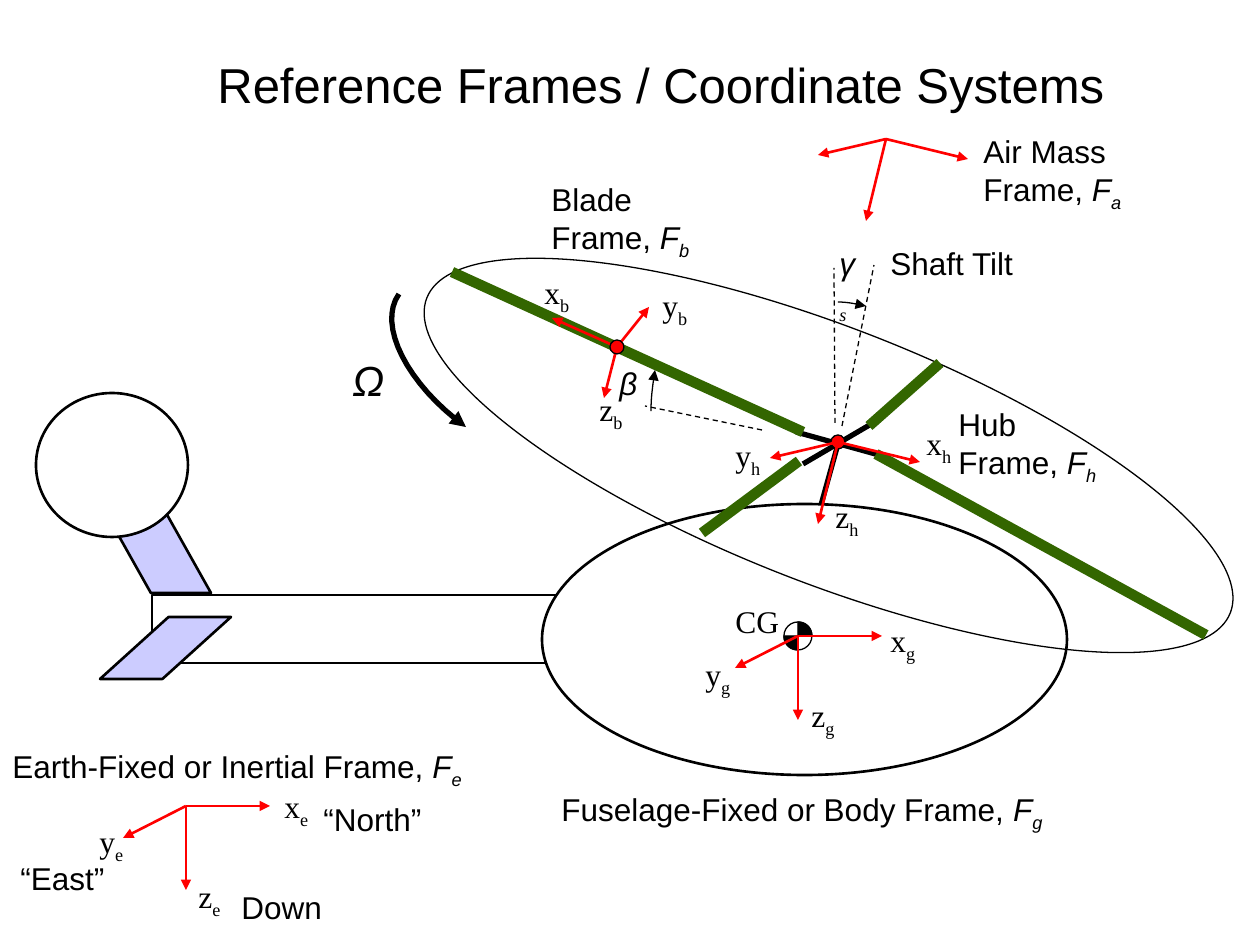
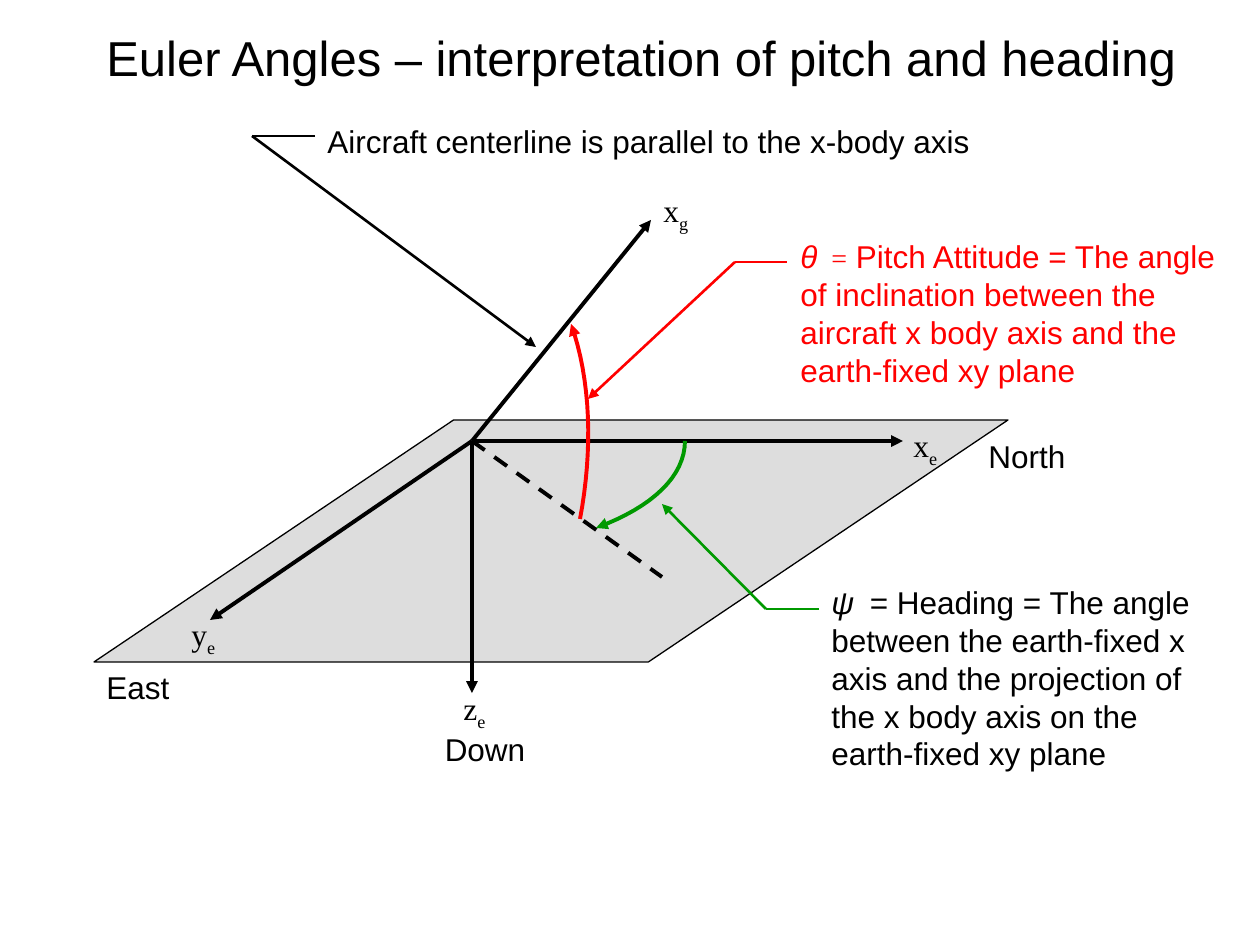
from lxml import etree
from pptx import Presentation
from pptx.dml.color import RGBColor
from pptx.enum.dml import MSO_LINE
from pptx.enum.shapes import MSO_CONNECTOR, MSO_SHAPE
from pptx.enum.text import MSO_AUTO_SIZE, PP_ALIGN
from pptx.oxml.ns import qn
from pptx.util import Pt

SCALE = 914400 / 126
PAGE_WIDTH, PAGE_HEIGHT = 1260, 945

BLACK = RGBColor(0x00, 0x00, 0x00)
WHITE = RGBColor(0xFF, 0xFF, 0xFF)
RED = RGBColor(0xFF, 0x00, 0x00)
GREEN = RGBColor(0x00, 0x99, 0x00)
BLADE_GREEN = RGBColor(0x33, 0x66, 0x00)
TAIL_BLUE = RGBColor(0xCC, 0xCC, 0xFF)
PLANE_GREY = RGBColor(0xDD, 0xDD, 0xDD)

SANS, SERIF = "Arial", "Times New Roman"
ELLIPSE, RECTANGLE = MSO_SHAPE.OVAL, MSO_SHAPE.RECTANGLE
PARALLELOGRAM = MSO_SHAPE.PARALLELOGRAM
STRAIGHT, DASH = MSO_CONNECTOR.STRAIGHT, MSO_LINE.DASH
LEFT, CENTER = PP_ALIGN.LEFT, PP_ALIGN.CENTER

LEVEL_AXES = ((84, 0), (-63, 32), (0, 84))
TILTED_AXES = ((82, 20), (-68, 16), (-20, 82))
BLADE_AXES = ((-65, -29), (32, -40), (-13, 51))
HUB, BLADE = (838, 442), (617, 347)
TEXT_HEIGHT = 50


def emu(px):
    return round(px * SCALE)


def outline(shape, color, width, dash=None, arrow=False):
    line = shape.line
    line.color.rgb = color
    line.width = Pt(width)
    if dash:
        line.dash_style = dash
    if arrow:
        etree.SubElement(shape._element.spPr.find(qn("a:ln")), qn("a:tailEnd"), type="triangle")


def paint(shape, fill):
    shape.shadow.inherit = False
    if fill is None:
        shape.fill.background()
    else:
        shape.fill.solid()
        shape.fill.fore_color.rgb = fill


class Panel:
    """A region whose parts are placed relative to its origin."""

    def __init__(self, shapes, origin):
        self.shapes = shapes
        self.origin = origin

    def point(self, at):
        return tuple(emu(base + offset) for base, offset in zip(self.origin, at))

    def line(self, start, end, color=BLACK, width=1.5, dash=None, arrow=False):
        connector = self.shapes.add_connector(STRAIGHT, *self.point(start), *self.point(end))
        outline(connector, color, width, dash, arrow)
        etree.SubElement(connector._element.spPr, qn("a:effectLst"))

    def shape(self, kind, box, fill=None, width=1.5, slant=None, flip=False, rotation=0):
        left, top, wide, high = box
        shape = self.shapes.add_shape(kind, *self.point((left, top)), emu(wide), emu(high))
        if slant:
            shape.adjustments[0] = slant
        if flip:
            shape._element.spPr.find(qn("a:xfrm")).set("flipH", "1")
        shape.rotation = rotation
        paint(shape, fill)
        outline(shape, BLACK, width)

    def curve(self, controls, color=BLACK, width=0.75, arrow=True, center=None):
        """Draw a cubic curve; a center closes it into a filled sector."""
        steps = 16
        points = []
        for step in range(steps + 1):
            t = step / steps
            weights = ((1 - t) ** 3, 3 * t * (1 - t) ** 2, 3 * t * t * (1 - t), t ** 3)
            points.append(self.point([sum(w * c for w, c in zip(weights, axis))
                                      for axis in zip(*controls)]))
        if center:
            points.append(self.point(center))
        builder = self.shapes.build_freeform(*points[0], scale=1.0)
        builder.add_line_segments(points[1:], close=center is not None)
        shape = builder.convert_to_shape()
        paint(shape, color if center else None)
        outline(shape, color, width, arrow=arrow)

    def text(self, text, at, width, height=TEXT_HEIGHT, size=18, font=SANS, color=BLACK,
             italic=False, wrap=False, align=LEFT, more=()):
        """Add text; more holds further spans as (text, format) pairs."""
        box = self.shapes.add_textbox(*self.point(at), emu(width), emu(height))
        frame = box.text_frame
        frame.word_wrap = wrap
        frame.auto_size = MSO_AUTO_SIZE.SHAPE_TO_FIT_TEXT
        para = frame.paragraphs[0]
        para.alignment = align
        common = dict(size=size, font=font, color=color, italic=italic)
        add_span(para, text, **common)
        for span_text, changes in more:
            add_span(para, span_text, **{**common, **changes})

    def axis_label(self, letter, frame, at):
        self.text(letter, at, 51, font=SERIF, more=[(frame, dict(sub=True))])

    def axis_labels(self, frame, places):
        for letter, at in zip("xyz", places):
            self.axis_label(letter, frame, at)

    def frame_name(self, text, letter, at, width, height=TEXT_HEIGHT, wrap=False):
        self.text(text, at, width, height, wrap=wrap, more=[
            ("F", dict(italic=True)), (letter, dict(italic=True, sub=True))])

    def axes(self, tips):
        group = Panel(self.shapes.add_group_shape().shapes, self.origin)
        for tip in tips:
            group.line((0, 0), tip, RED, arrow=True)

    def dot(self):
        self.shape(ELLIPSE, (-7, -7, 14, 14), RED, 0.75)

    def callout(self, end, corner, tip, color):
        self.line(end, corner, color)
        self.line(corner, tip, color, arrow=True)


def add_span(para, text, size, font, color, italic, sub=False):
    span = para.add_run()
    span.text = text
    span.font.size = Pt(size)
    span.font.name = font
    span.font.italic = italic
    span.font.color.rgb = color
    if sub:
        span._r.get_or_add_rPr().set("baseline", "-25000")


def draw_title(page, text, at, width):
    Panel(page.shapes, at).text(text, (0, 0), width, 72, size=28)


def draw_hub_arms(page, origin):
    arms = Panel(page.shapes.add_group_shape().shapes, origin)
    for start, end in (((-42, -10), (41, 13)), ((0, 2), (-27, 99)), ((-35, 22), (35, -19))):
        arms.line(start, end, width=3)


def draw_fuselage(page, origin):
    body = Panel(page.shapes, origin)
    body.shape(RECTANGLE, (116, 202, 427, 68))
    body.shape(PARALLELOGRAM, (64, 224, 131, 62), TAIL_BLUE, slant=1.106)
    body.shape(PARALLELOGRAM, (57, 97, 118, 103), TAIL_BLUE, slant=0.562, flip=True)
    body.shape(ELLIPSE, (0, 0, 152, 144), WHITE)
    body.shape(ELLIPSE, (506, 111, 525, 271), WHITE)


def draw_rotor(page, origin):
    rotor = Panel(page.shapes, origin)
    rotor.shape(ELLIPSE, (-441, -114, 863, 255), width=0.75, rotation=21.4)
    for root, tip in (((38, 12), (368, 193)), ((31, -16), (102, -79)),
                      ((-35, -10), (-386, -170)), ((-39, 19), (-136, 91))):
        rotor.line(root, tip, BLADE_GREEN, 6)


def draw_body_frame(page, origin):
    body = Panel(page.shapes, origin)
    body.shape(ELLIPSE, (-14, -14, 28, 28), WHITE, 0.75)
    quarter = ((0, -14), (8, -14), (14, -8), (14, 0))
    for sign in (1, -1):
        body.curve([(sign * x, sign * y) for x, y in quarter], arrow=False, center=(0, 0))
    body.axes(LEVEL_AXES)
    body.axis_labels("g", ((80, -21), (-105, 13), (1, 54)))
    body.text("CG", (-75, -40), 69, font=SERIF)
    body.frame_name("Fuselage-Fixed or Body Frame, ", "g", (-249, 148), 508)


def draw_hub_frame(page, origin):
    hub = Panel(page.shapes, origin)
    hub.dot()
    hub.axes(TILTED_AXES)
    hub.frame_name("Hub Frame, ", "h", (108, -43), 190, 88, wrap=True)
    hub.axis_labels("h", ((76, -24), (-115, -12), (-15, 49)))


def draw_earth_frame(page, origin):
    earth = Panel(page.shapes, origin)
    earth.axes(LEVEL_AXES)
    earth.axis_labels("e", ((86, -25), (-99, 10), (0, 65)))
    earth.frame_name("Earth-Fixed or Inertial Frame, ", "e", (-186, -65), 476)
    earth.text("“North”", (125, -12), 125)
    earth.text("“East”", (-178, 47), 111)
    earth.text("Down", (43, 76), 107)


def draw_shaft_tilt(page, origin):
    tilt = Panel(page.shapes, origin)
    tilt.line((4, -16), (36, -177), width=0.75, dash=DASH)
    tilt.line((-3, -19), (-4, -174), width=0.75, dash=DASH)
    tilt.curve(((0, -140), (9, -140), (19, -138), (28, -136)))
    tilt.text("γ", (-11, -204), 47, italic=True, wrap=True,
              more=[("s", dict(font=SERIF, sub=True))])
    tilt.text("Shaft Tilt", (40, -204), 175, wrap=True)


def draw_blade_frame(page, origin):
    blade = Panel(page.shapes, origin)
    blade.axes(BLADE_AXES)
    blade.axis_labels("b", ((-85, -80), (33, -67), (-30, 37)))
    blade.dot()
    blade.frame_name("Blade Frame, ", "b", (-78, -173), 171, 88, wrap=True)


def draw_flapping(page, origin):
    flap = Panel(page.shapes, origin)
    flap.line((145, 83), (28, 59), width=0.75, dash=DASH)
    flap.curve(((34, 64), (34, 50), (36, 36), (38, 23)))
    flap.text("β", (-10, 11), 53, italic=True, wrap=True)


def draw_rotation(page, origin):
    turn = Panel(page.shapes, origin)
    turn.curve(((59, 0), (37, 31), (67, 90), (126, 133)), width=3)
    turn.text("Ω", (0, 54), 58, 63, size=24, italic=True)


def draw_air_frame(page, origin):
    air = Panel(page.shapes, origin)
    air.axes(TILTED_AXES)
    air.frame_name("Air Mass Frame, ", "a", (85, -13), 171, 89, wrap=True)


def draw_earth_plane(page, origin):
    plane = Panel(page.shapes, origin)
    plane.shape(PARALLELOGRAM, (-378, -21, 914, 242), PLANE_GREY, 0.75, slant=1.486)
    for tip in ((179, -221), (431, 0), (-262, 179), (0, 252)):
        plane.line((0, 0), tip, width=2.25, arrow=True)
    plane.line((0, 0), (190, 136), width=2.25, dash=DASH)
    plane.axis_labels("e", ((429, -21), (-293, 168), (-21, 242)))
    plane.axis_label("x", "g", (179, -256))
    plane.text("North", (504, -10), 102)
    plane.text("East", (-378, 221), 88, align=CENTER)
    plane.text("Down", (-40, 283), 106, align=CENTER)


def draw_pitch(page, origin):
    pitch = Panel(page.shapes, origin)
    pitch.curve(((108, 78), (121, 9), (119, -61), (99, -117)), RED, 2.25)
    pitch.callout((315, -179), (263, -179), (116, -42), RED)
    pitch.text("θ", (316, -210), 441, 164, color=RED, italic=True, wrap=True, more=[
        ("  =", dict(size=16, font=SERIF, italic=False)),
        (" Pitch Attitude = The angle of inclination between the aircraft x body axis "
         "and the earth-fixed xy plane", dict(italic=False))])


def draw_heading(page, origin):
    heading = Panel(page.shapes, origin)
    heading.curve(((213, 0), (213, 35), (181, 66), (124, 87)), GREEN, 2.25)
    heading.callout((347, 168), (294, 168), (190, 63), GREEN)
    heading.text("ψ", (347, 136), 399, 202, italic=True, wrap=True, more=[
        ("  ", dict(size=16)),
        ("= Heading = The angle between the earth-fixed x axis and the projection of "
         "the x body axis on the earth-fixed xy plane", dict(italic=False))])


def draw_centerline_note(page, origin):
    note = Panel(page.shapes, origin)
    note.text("Aircraft centerline is parallel to the x-body axis", (-157, -325), 668)
    note.callout((-157, -305), (-220, -305), (64, -94), BLACK)


def build_frames_page(page):
    draw_hub_arms(page, HUB)
    draw_fuselage(page, (36, 393))
    draw_rotor(page, HUB)
    draw_body_frame(page, (798, 636))
    draw_hub_frame(page, HUB)
    draw_earth_frame(page, (186, 806))
    draw_shaft_tilt(page, HUB)
    draw_blade_frame(page, BLADE)
    draw_title(page, "Reference Frames / Coordinate Systems", (205, 48), 915)
    draw_rotation(page, (340, 294))
    draw_flapping(page, BLADE)
    draw_air_frame(page, (886, 139))


def build_euler_page(page):
    draw_title(page, "Euler Angles – interpretation of pitch and heading", (94, 21), 1101)
    for draw in (draw_earth_plane, draw_heading, draw_pitch, draw_centerline_note):
        draw(page, (472, 441))


def main():
    deck = Presentation()
    deck.slide_width, deck.slide_height = emu(PAGE_WIDTH), emu(PAGE_HEIGHT)
    for build in (build_frames_page, build_euler_page):
        build(deck.slides.add_slide(deck.slide_layouts[6]))
    deck.save("out.pptx")


if __name__ == "__main__":
    main()
